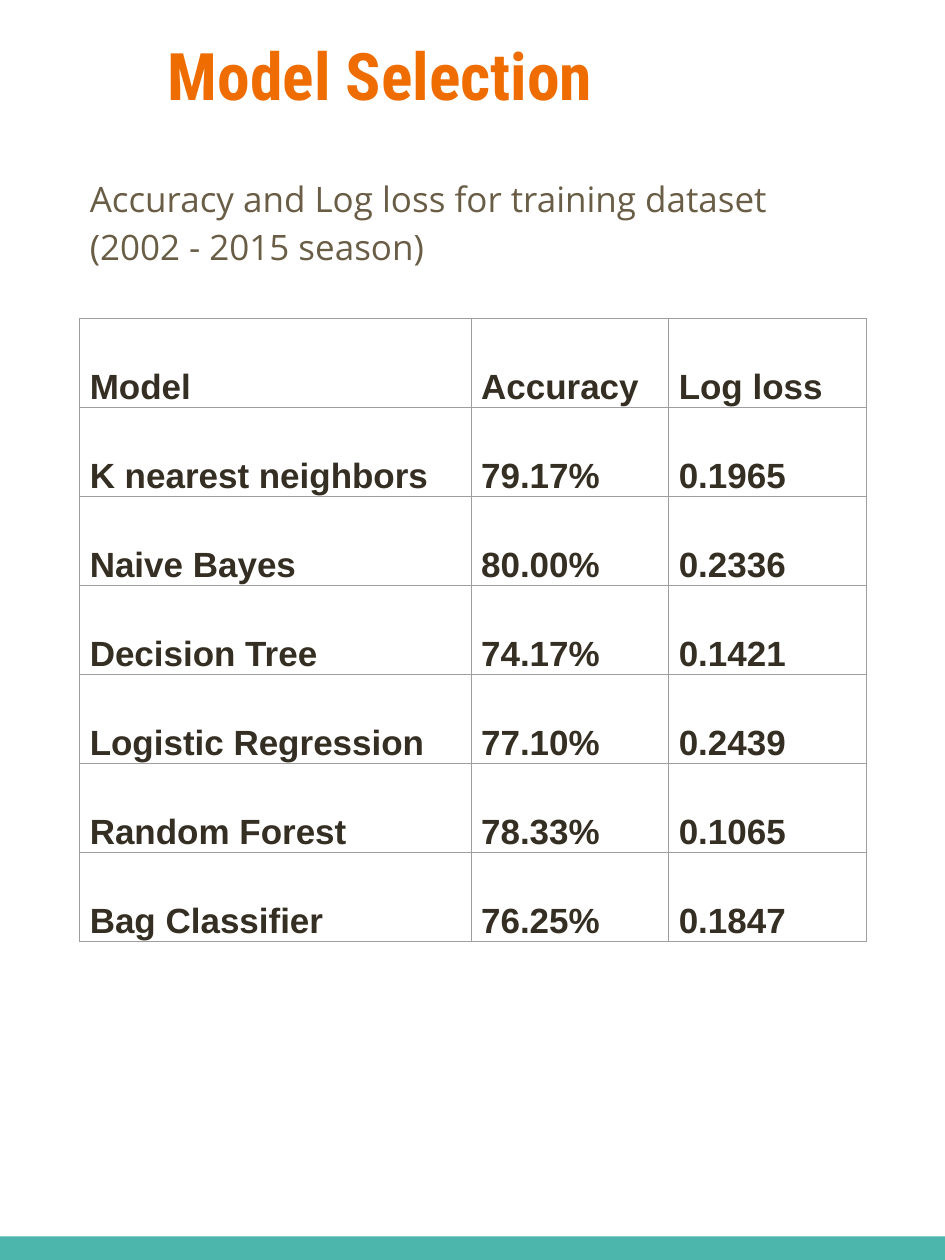
from lxml import etree
from pptx import Presentation
from pptx.dml.color import RGBColor
from pptx.enum import shapes, text
from pptx.oxml import ns
from pptx.util import Inches, Pt

# Content
TITLE = "Model Selection"
SUBTITLE = "Accuracy and Log loss for training dataset (2002 - 2015 season)"
RESULTS = [
    ("Model", "Accuracy", "Log loss"),
    ("K nearest neighbors", "79.17%", "0.1965"),
    ("Naive Bayes", "80.00%", "0.2336"),
    ("Decision Tree", "74.17%", "0.1421"),
    ("Logistic Regression", "77.10%", "0.2439"),
    ("Random Forest", "78.33%", "0.1065"),
    ("Bag Classifier", "76.25%", "0.1847"),
]

# Colours
ORANGE = RGBColor(0xEF, 0x6C, 0x00)
OLIVE = RGBColor(0x69, 0x5D, 0x46)
DARK = RGBColor(0x34, 0x2E, 0x23)
TEAL = RGBColor(0x4D, 0xB6, 0xAC)
WHITE = RGBColor(0xFF, 0xFF, 0xFF)
GREY = RGBColor(0x9E, 0x9E, 0x9E)

# Layout in inches
WIDTH, HEIGHT = 12, 16
MARGIN, CONTENT_WIDTH = 1.01, 10
COLUMN_WIDTHS = (4.97, 2.51, 2.51)
ROW_HEIGHT = 1.13
BAND_HEIGHT = 0.3
INSET = 0.13


def write(frame, words, size, font, color, bold=False, spacing=1.0, after=0):
    frame.text = words
    paragraph = frame.paragraphs[0]
    paragraph.alignment = text.PP_ALIGN.LEFT
    paragraph.line_spacing = spacing
    paragraph.space_before, paragraph.space_after = Pt(0), Pt(after)
    style = paragraph.runs[0].font
    style.size, style.name, style.bold = Pt(size), font, bold
    style.color.rgb = color
    return paragraph


def place(holder, left, top, width, height):
    holder.left, holder.top = Inches(left), Inches(top)
    holder.width, holder.height = Inches(width), Inches(height)
    frame = holder.text_frame
    frame.margin_left = frame.margin_right = Inches(INSET)
    frame.margin_top = frame.margin_bottom = Inches(INSET)
    frame.word_wrap = True
    frame.auto_size = text.MSO_AUTO_SIZE.NONE
    frame.vertical_anchor = text.MSO_ANCHOR.TOP
    return frame


def outline(cell):
    properties = cell._tc.get_or_add_tcPr()
    for position, side in enumerate(("a:lnL", "a:lnR", "a:lnT", "a:lnB")):
        line = etree.Element(ns.qn(side), w=str(Pt(0.75)))
        fill = etree.SubElement(line, ns.qn("a:solidFill"))
        etree.SubElement(fill, ns.qn("a:srgbClr"), val=str(GREY))
        properties.insert(position, line)


def main():
    deck = Presentation()
    deck.slide_width, deck.slide_height = Inches(WIDTH), Inches(HEIGHT)
    slide = deck.slides.add_slide(deck.slide_layouts[1])

    # Title and subtitle
    heading, subtitle = slide.placeholders
    write(place(heading, 2, 0.31, 12.42, 1.03), TITLE,
          60, "Roboto Condensed", ORANGE, bold=True)
    summary = write(place(subtitle, MARGIN, 2.04, CONTENT_WIDTH, 1.72), SUBTITLE,
                    32, "Open Sans", OLIVE, spacing=1.15, after=16)
    unbulleted = summary._p.get_or_add_pPr()
    unbulleted.set("marL", "0")
    unbulleted.set("indent", "0")
    etree.SubElement(unbulleted, ns.qn("a:buNone"))

    # Bottom band
    band = slide.shapes.add_shape(
        shapes.MSO_SHAPE.RECTANGLE, 0, Inches(HEIGHT - BAND_HEIGHT),
        Inches(WIDTH), Inches(BAND_HEIGHT))
    band.shadow.inherit = False
    band.fill.solid()
    band.fill.fore_color.rgb = TEAL
    band.line.fill.background()

    # Results table
    results = slide.shapes.add_table(
        len(RESULTS), len(COLUMN_WIDTHS), Inches(MARGIN), Inches(4.04),
        Inches(CONTENT_WIDTH), Inches(ROW_HEIGHT * len(RESULTS))).table
    results.first_row = results.horz_banding = False
    for column, width in zip(results.columns, COLUMN_WIDTHS):
        column.width = Inches(width)
    for row, values in zip(results.rows, RESULTS):
        row.height = Inches(ROW_HEIGHT)
        for cell, value in zip(row.cells, values):
            write(cell.text_frame, value, 32, "Arial", DARK, bold=True)
            cell.vertical_anchor = text.MSO_ANCHOR.BOTTOM
            cell.margin_left, cell.margin_right = Inches(INSET), Inches(0.01)
            cell.margin_top, cell.margin_bottom = Inches(0.01), 0
            cell.fill.solid()
            cell.fill.fore_color.rgb = WHITE
            outline(cell)

    deck.save("out.pptx")


if __name__ == "__main__":
    main()
